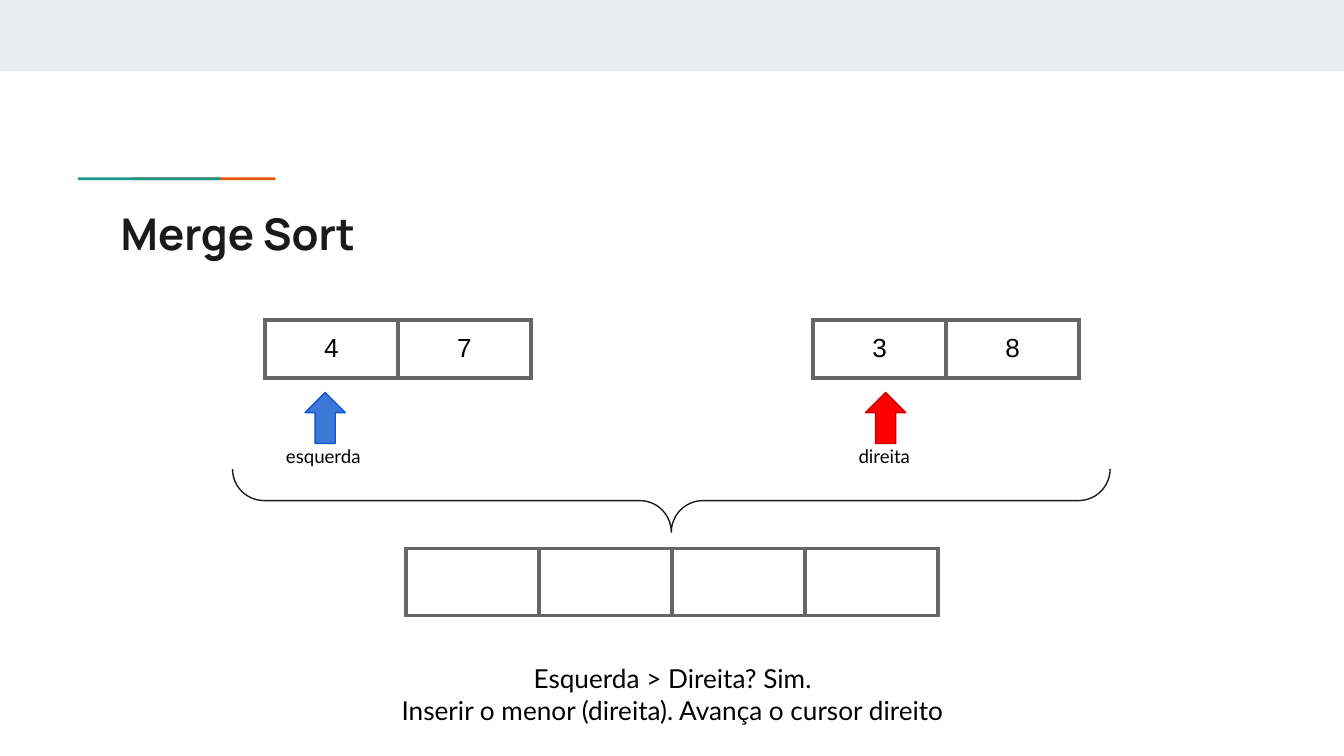
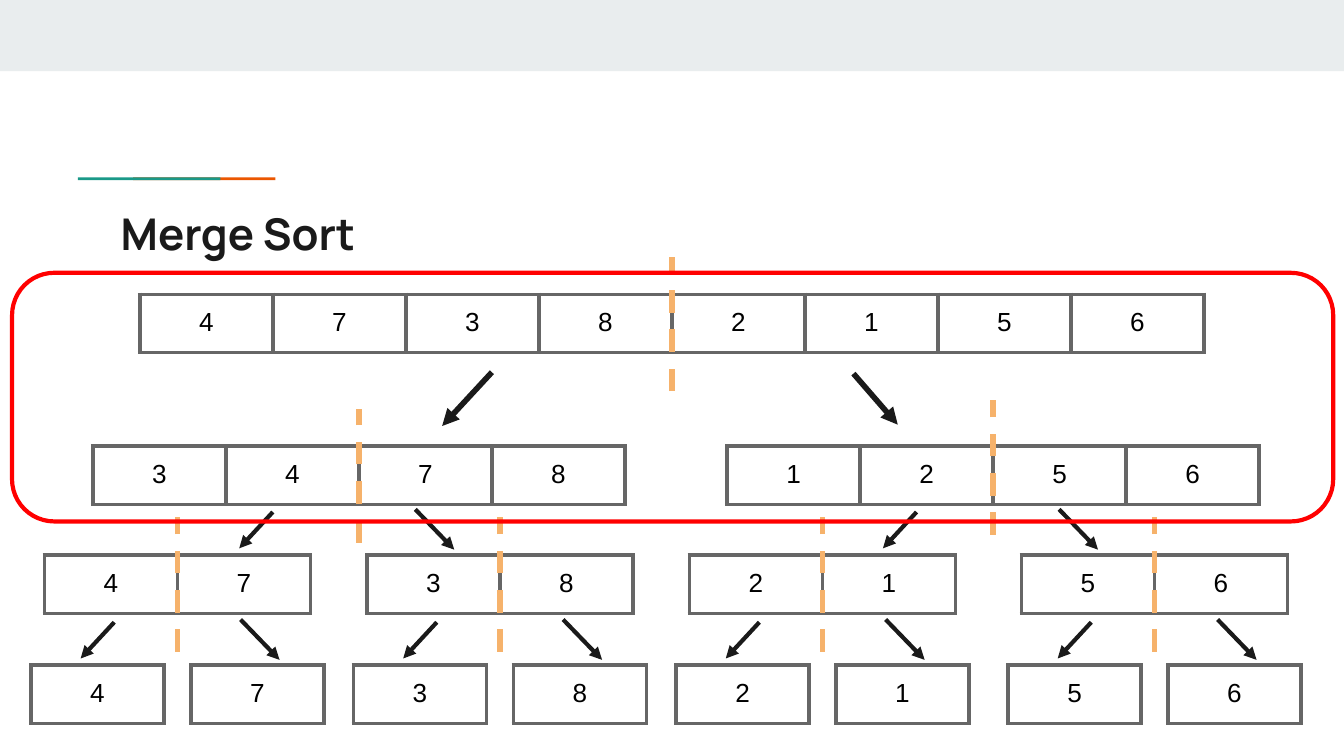
from lxml.etree import SubElement as Sub
from pptx import Presentation
from pptx.dml.color import RGBColor
from pptx.enum.dml import MSO_LINE
from pptx.enum.shapes import MSO_CONNECTOR as Conn, MSO_SHAPE as Kind
from pptx.enum.text import PP_ALIGN as Align
from pptx.oxml.ns import qn
from pptx.util import Inches, Pt

INK, GREY, BLACK, RED = "1A1A1A", "666666", "000000", "FF0000"
BAND, TEAL, RUST, SAND = "E9EDEE", "1A9988", "EB5600", "F6B26B"
WIDE = Inches(10)
CELL, ROW = 0.99, 0.42
HEAD = {"name": "Manrope", "size": Pt(23.4), "bold": True}
DIGIT = {"name": "Arial", "size": Pt(14)}
NOTE = {"name": "Lato", "size": Pt(14)}
TAG = {"name": "Lato", "size": Pt(10)}
INSET = {f"margin_{side}": Inches(0.1) for side in ("left", "right", "top", "bottom")}


def color(code):
    return RGBColor.from_string(code)


def assign(item, values):
    for name, value in values.items():
        setattr(item, name, value)


def place(box):
    return [Inches(n) for n in box]


def write(para, text, font, ink=BLACK, align=Align.LEFT):
    para.alignment = align
    run = para.add_run()
    run.text = text
    assign(run.font, font)
    run.font.color.rgb = color(ink)


def label(shapes, box, lines, font, ink=BLACK, align=Align.LEFT, wrap=True):
    frame = shapes.add_textbox(*place(box)).text_frame
    assign(frame, {**INSET, "word_wrap": wrap})
    for i, text in enumerate(lines):
        para = frame.add_paragraph() if i else frame.paragraphs[0]
        write(para, text, font, ink, align)


def shape(shapes, kind, box, fill=None, line=None, width=0.75, turn=0, adjust=()):
    item = shapes.add_shape(kind, *place(box))
    item.shadow.inherit = False
    item.rotation = turn
    for i, value in enumerate(adjust):
        item.adjustments[i] = value
    if fill:
        item.fill.solid()
        item.fill.fore_color.rgb = color(fill)
    else:
        item.fill.background()
    if line:
        item.line.color.rgb = color(line)
        item.line.width = Pt(width)
    else:
        item.line.fill.background()


def stroke(slide, start, end, ink, width):
    item = slide.shapes.add_connector(Conn.STRAIGHT, *place(start + end))
    item.line.color.rgb = color(ink)
    item.line.width = Pt(width)
    Sub(item._element.spPr, qn("a:effectLst"))
    return item.line


def arrow(slide, x, y, dx, dy, width=2.25):
    line = stroke(slide, (x, y), (x + dx, y + dy), INK, width)
    Sub(line._get_or_add_ln(), qn("a:tailEnd"), type="triangle")


def cut(slide, x, top):
    line = stroke(slide, (x, top + 1), (x, top), SAND, 3)
    line.dash_style = MSO_LINE.DASH


def border(cell):
    props = cell._tc.get_or_add_tcPr()
    for i, side in enumerate("LRTB"):
        edge = Sub(props, qn(f"a:ln{side}"), w=str(Pt(2.25)))
        Sub(Sub(edge, qn("a:solidFill")), qn("a:srgbClr"), val=GREY)
        props.insert(i, edge)


def cells(slide, x, y, values):
    count = len(values)
    table = slide.shapes.add_table(1, count, *place((x, y, CELL * count, ROW))).table
    assign(table, {"first_row": False, "horz_banding": False})
    for i, value in enumerate(values):
        cell = table.cell(0, i)
        assign(cell, INSET)
        cell.fill.background()
        border(cell)
        para = cell.text_frame.paragraphs[0]
        if value:
            write(para, value, DIGIT, align=Align.CENTER)
        Sub(Sub(para._p, qn("a:endParaRPr")), qn("a:latin"), typeface="Arial")


def base(deck):
    slide = deck.slides.add_slide(deck.slide_layouts[6])
    shapes = slide.shapes
    shape(shapes, Kind.RECTANGLE, (0, 0, 10, 0.53), BAND)
    for x, fill in ((0.99, RUST), (0.58, TEAL)):
        shape(shapes, Kind.RECTANGLE, (x, 1.32, 1.06, 0.02), fill)
    label(shapes, (0.8, 1.44, 8.41, 0.59), ["Merge Sort"], HEAD, INK)
    return slide


def cursor(slide, x, y, text, size, shift, fill, line):
    group = slide.shapes.add_group_shape().shapes
    shape(group, Kind.RIGHT_ARROW, (x, y, 0.38, 0.3), fill, line, turn=270, adjust=(0.5, 0.5))
    label(group, (x + shift, y + 0.27, size, 0.37), [text], TAG, wrap=False)


def merge(deck):
    slide = base(deck)
    cells(slide, 3.02, 4.08, [""] * 4)
    cells(slide, 1.97, 2.38, "47")
    cells(slide, 6.05, 2.38, "38")
    shape(slide.shapes, Kind.RIGHT_BRACE, (4.76, 0.46, 0.47, 6.53), line=INK, turn=90, adjust=(0.5, 0.5))
    cursor(slide, 2.23, 2.96, "esquerda", 0.77, -0.2, "3C78D8", "1155CC")
    cursor(slide, 6.4, 2.96, "direita", 0.6, -0.11, RED, "CC0000")
    lines = ["Esquerda > Direita? Sim.", "Inserir o menor (direita). Avança o cursor direito"]
    label(slide.shapes, (2.75, 4.83, 4.51, 0.67), lines, NOTE, align=Align.CENTER)


def fork(slide, x, y, gap):
    arrow(slide, x, y + 0.02, -0.25, 0.27)
    arrow(slide, x + gap, y, 0.29, 0.3)


def pair(slide, x, y, values):
    cells(slide, x, y, values)
    for value, shift in zip(values, (-0.1, 1.09)):
        cells(slide, x + shift, y + 0.82, value)
    fork(slide, x + 0.52, y + 0.48, 0.94)
    cut(slide, x + CELL, y - 0.28)


def half(slide, x, y, values, split, top):
    cells(slide, x, y, values)
    fork(slide, split, y + 0.47, 1.06)
    cut(slide, x + 2 * CELL, top)


def tree(deck):
    slide = base(deck)
    cells(slide, 1.04, 2.19, "47382156")
    cut(slide, 5, 1.91)
    arrow(slide, 3.66, 2.77, -0.37, 0.4, 3)
    arrow(slide, 6.35, 2.78, 0.33, 0.38, 3)
    half(slide, 0.69, 3.32, "3478", 2.03, 3.04)
    half(slide, 5.41, 3.32, "1256", 6.82, 2.98)
    for x, values in ((0.33, "47"), (2.73, "38"), (5.13, "21"), (7.6, "56")):
        pair(slide, x, 4.13, values)
    shape(slide.shapes, Kind.ROUNDED_RECTANGLE, (0.09, 2.03, 9.83, 1.85), line=RED, width=2.25, adjust=(0.17,))


def main():
    deck = Presentation()
    assign(deck, {"slide_width": WIDE, "slide_height": WIDE * 9 // 16})
    merge(deck)
    tree(deck)
    deck.save("out.pptx")


if __name__ == "__main__":
    main()
